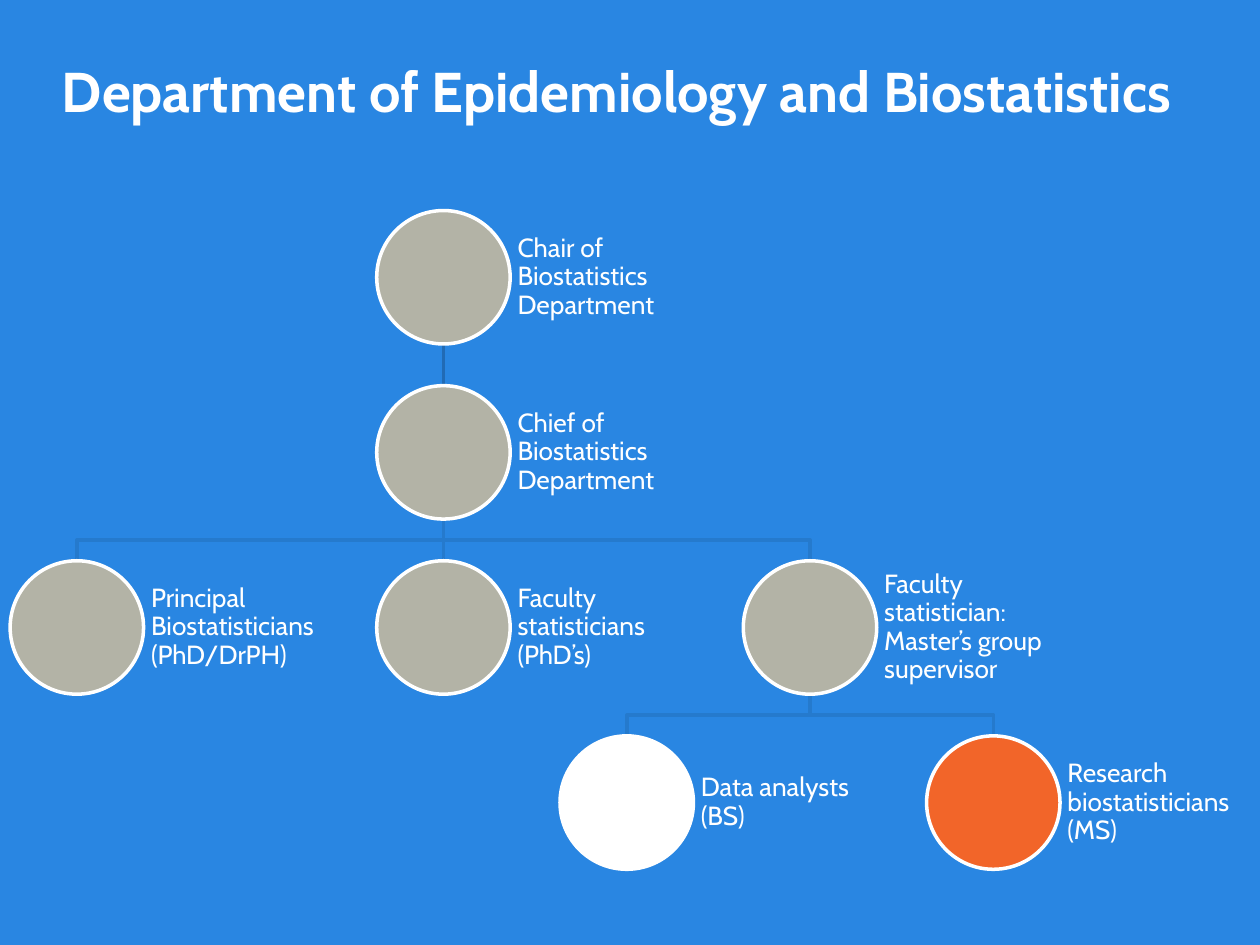
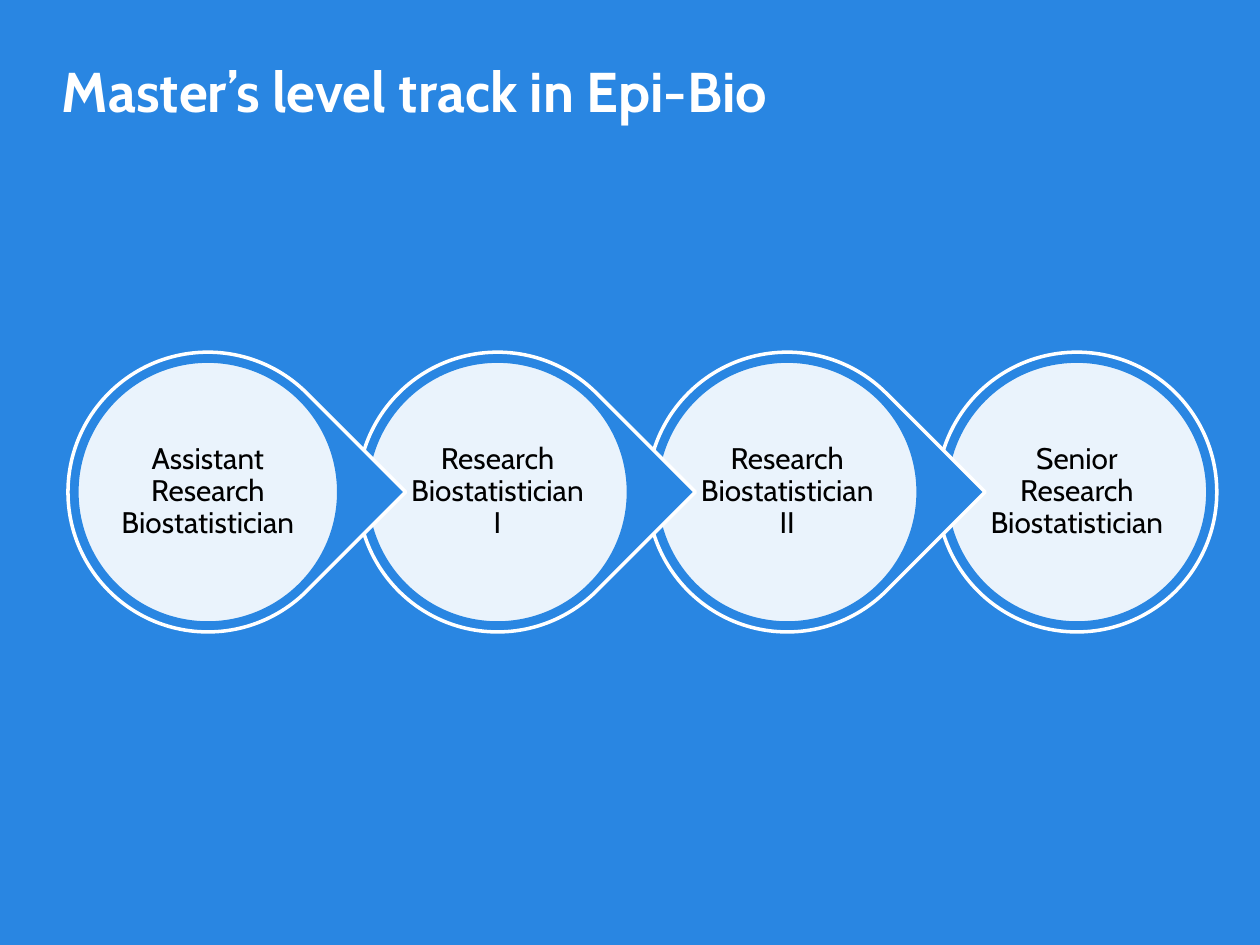
from dataclasses import dataclass

from lxml import etree
from pptx import Presentation
from pptx import util as u
from pptx.dml.color import RGBColor
from pptx.enum import shapes, text
from pptx.oxml.ns import qn


@dataclass(frozen=True)
class Theme:
    font: str = "Cabin"
    background: str = "2986E2"
    white: str = "FFFFFF"
    black: str = "000000"
    staff: str = "B3B3A6"
    highlight: str = "F26529"
    top_link: str = "216BB5"
    lower_link: str = "257ACD"
    title_size: int = 32
    role_size: int = 15
    stage_size: int = 17
    line_width: int = 2
    disc_opacity: int = 90


THEME = Theme()


def apply(target, values):
    for name, value in values.items():
        setattr(target, name, value)


class Deck:
    def __init__(self, theme):
        self.theme = theme
        self.prs = Presentation()
        apply(self.prs, {"slide_width": u.Cm(25.4), "slide_height": u.Cm(19.05)})
        self.slide = None

    def add_slide(self, title):
        self.slide = self.prs.slides.add_slide(self.prs.slide_layouts[6])
        fill = self.slide.background.fill
        fill.solid()
        fill.fore_color.rgb = RGBColor.from_string(self.theme.background)
        self.label(title, 1, 1, 23.75, 1.9, self.theme.title_size, bold=True,
                   anchor=text.MSO_ANCHOR.TOP, insets=(0.25, 0.13), spacing=1.0)

    def label(self, words, left, top, width, height, size, color=THEME.white, bold=False,
              anchor=text.MSO_ANCHOR.MIDDLE, align=text.PP_ALIGN.LEFT,
              insets=(0.15, 0.15), spacing=0.9):
        box = self.slide.shapes.add_textbox(*map(u.Cm, (left, top, width, height)))
        side, end = map(u.Cm, insets)
        apply(box.text_frame, {
            "word_wrap": True, "vertical_anchor": anchor,
            "margin_left": side, "margin_right": side,
            "margin_top": end, "margin_bottom": end,
        })
        paragraph = box.text_frame.paragraphs[0]
        apply(paragraph, {"text": words, "alignment": align, "line_spacing": spacing})
        font = paragraph.runs[0].font
        apply(font, {"name": self.theme.font, "size": u.Pt(size), "bold": bold})
        font.color.rgb = RGBColor.from_string(color)

    def outline(self, line, color):
        line.width = u.Pt(self.theme.line_width)
        line.color.rgb = RGBColor.from_string(color)

    def round_shape(self, kind, x, y, diameter, fill, line, opacity=100, rotation=0):
        corner = (x - diameter / 2, y - diameter / 2)
        shape = self.slide.shapes.add_shape(
            kind, *map(u.Cm, (*corner, diameter, diameter)))
        shape.shadow.inherit = False
        shape.rotation = rotation
        shape.fill.solid()
        shape.fill.fore_color.rgb = RGBColor.from_string(fill)
        self.outline(shape.line, line)
        if opacity < 100:
            tint = shape.fill._xPr.find(qn("a:solidFill"))[0]
            etree.SubElement(tint, qn("a:alpha"), val=str(opacity * 1000))

    def link(self, start, end, color):
        (x1, y1), (x2, y2) = [tuple(map(u.Cm, point)) for point in (start, end)]
        if x1 == x2:
            branch = self.slide.shapes.add_connector(
                shapes.MSO_CONNECTOR.STRAIGHT, x1, y1, x2, y2)
            etree.SubElement(branch._element.spPr, qn("a:effectLst"))
            self.outline(branch.line, color)
            return
        middle = (y1 + y2) // 2
        builder = self.slide.shapes.build_freeform(x1, y1)
        builder.add_line_segments([(x1, middle), (x2, middle), (x2, y2)], close=False)
        branch = builder.convert_to_shape()
        branch.shadow.inherit = False
        branch.fill.background()
        self.outline(branch.line, color)


def department_slide(deck):
    theme = deck.theme
    deck.add_slide("Department of Epidemiology and Biostatistics")
    diameter, column_step, row_step = 2.69, 7.39, 3.53
    first_x, first_y = 1.55, 5.59
    radius = diameter / 2
    roles = [
        ("Chair of Biostatistics Department", 1, 0, None, theme.staff),
        ("Chief of Biostatistics Department", 1, 1, 0, theme.staff),
        ("Principal Biostatisticians (PhD/DrPH)", 0, 2, 1, theme.staff),
        ("Faculty statisticians (PhD’s)", 1, 2, 1, theme.staff),
        ("Faculty statistician: Master’s group supervisor", 2, 2, 1, theme.staff),
        ("Data analysts (BS)", 1.5, 3, 4, theme.white),
        ("Research biostatisticians (MS)", 2.5, 3, 4, theme.highlight),
    ]
    centres = [(first_x + column * column_step, first_y + row * row_step)
               for _, column, row, _, _ in roles]

    for (x, y), (_, _, _, boss, _) in zip(centres, roles):
        if boss is not None:
            boss_x, boss_y = centres[boss]
            color = theme.top_link if boss == 0 else theme.lower_link
            deck.link((boss_x, boss_y + radius), (x, y - radius), color)

    for (x, y), (role, _, _, _, fill) in zip(centres, roles):
        deck.round_shape(shapes.MSO_SHAPE.OVAL, x, y, diameter, fill, theme.white)
        deck.label(role, x + radius, y - radius, 4.04, diameter, theme.role_size)


def track_slide(deck):
    theme = deck.theme
    deck.add_slide("Master’s level track in Epi-Bio")
    first_x, y, step = 4.19, 9.92, 5.84
    ring, disc, side = 5.64, 5.28, 3.76
    stages = [
        "Assistant Research Biostatistician",
        "Research Biostatistician I",
        "Research Biostatistician II",
        "Senior Research Biostatistician",
    ]
    last = len(stages) - 1
    for index, stage in reversed(list(enumerate(stages))):
        x = first_x + index * step
        kind, rotation = ((shapes.MSO_SHAPE.OVAL, 0) if index == last
                          else (shapes.MSO_SHAPE.TEAR, 45))
        deck.round_shape(kind, x, y, ring, theme.background, theme.white,
                         rotation=rotation)
        deck.round_shape(shapes.MSO_SHAPE.OVAL, x, y, disc, theme.white,
                         theme.background, opacity=theme.disc_opacity)
        deck.label(stage, x - side / 2, y - side / 2, side, side, theme.stage_size,
                   color=theme.black, align=text.PP_ALIGN.CENTER, insets=(0.05, 0.05))


def main():
    deck = Deck(THEME)
    department_slide(deck)
    track_slide(deck)
    deck.prs.save("out.pptx")


if __name__ == "__main__":
    main()
